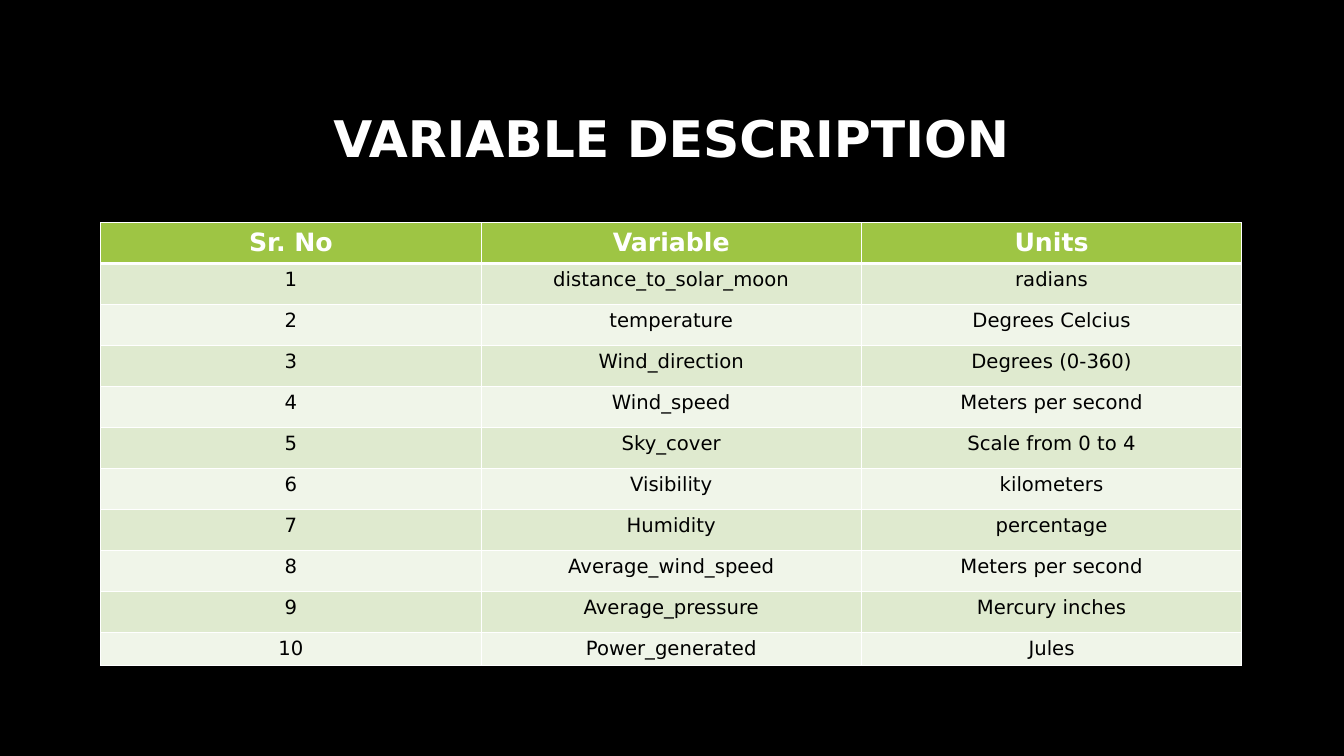
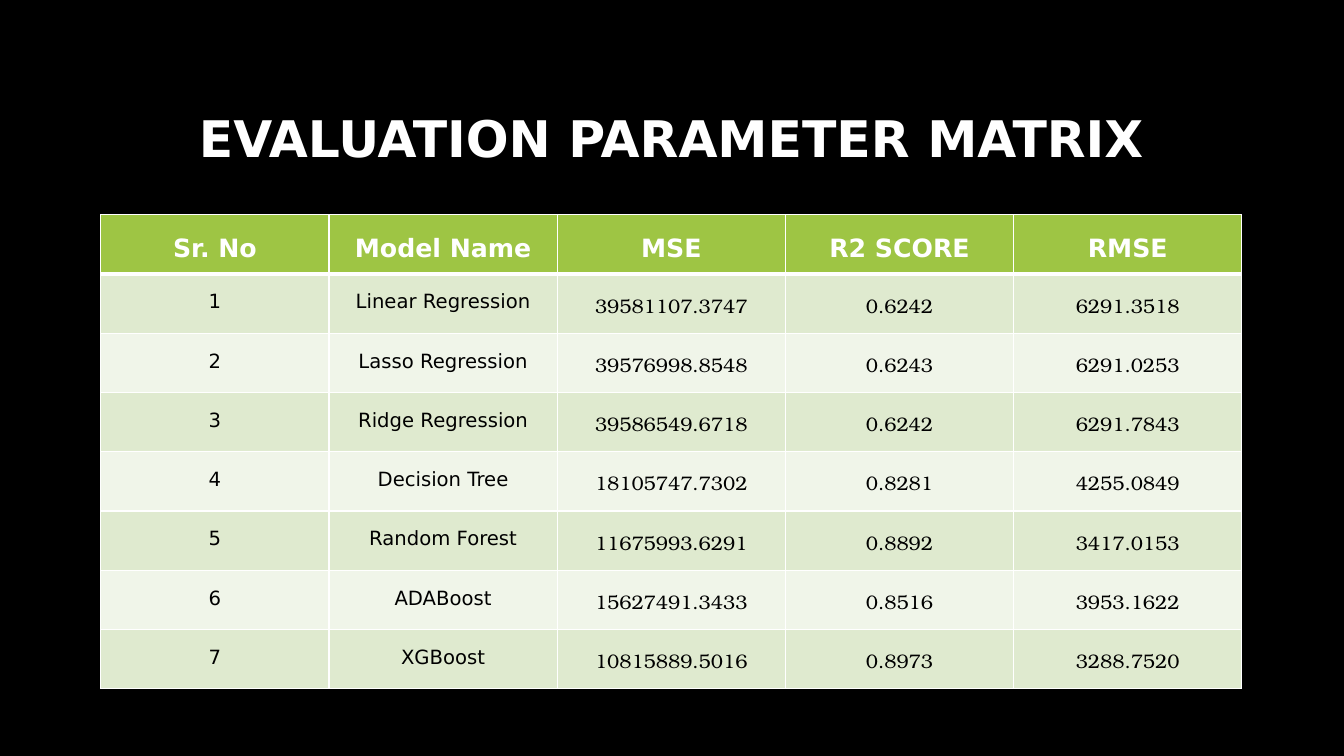
"""Build two black slides, each with a centred title and a banded green table."""
from lxml import etree
from pptx import Presentation, util as u
from pptx.dml.color import RGBColor
from pptx.enum import text
from pptx.oxml import ns

PAGE_WIDTH, PAGE_HEIGHT = u.Inches(13.33), u.Inches(7.5)
LEFT, WIDTH = 7.5, 84.9
TITLE_TOP, TITLE_HEIGHT = 8.95, 19.35

BLACK = RGBColor(0x00, 0x00, 0x00)
WHITE = RGBColor(0xFF, 0xFF, 0xFF)
GREEN = RGBColor(0x9E, 0xC5, 0x44)
BANDS = RGBColor(0xDF, 0xEA, 0xCF), RGBColor(0xF0, 0xF5, 0xE9)
SANS, SERIF = "DejaVu Sans", "TeX Gyre Bonum"

VARIABLES = [
    ("Sr. No", "Variable", "Units"),
    ("1", "distance_to_solar_moon", "radians"),
    ("2", "temperature", "Degrees Celcius"),
    ("3", "Wind_direction", "Degrees (0-360)"),
    ("4", "Wind_speed", "Meters per second"),
    ("5", "Sky_cover", "Scale from 0 to 4"),
    ("6", "Visibility", "kilometers"),
    ("7", "Humidity", "percentage"),
    ("8", "Average_wind_speed", "Meters per second"),
    ("9", "Average_pressure", "Mercury inches"),
    ("10", "Power_generated", "Jules"),
]
SCORES = [
    ("Sr. No", "Model Name", "MSE", "R2 SCORE", "RMSE"),
    ("1", "Linear Regression", "39581107.3747", "0.6242", "6291.3518"),
    ("2", "Lasso Regression", "39576998.8548", "0.6243", "6291.0253"),
    ("3", "Ridge Regression", "39586549.6718", "0.6242", "6291.7843"),
    ("4", "Decision Tree", "18105747.7302", "0.8281", "4255.0849"),
    ("5", "Random Forest", "11675993.6291", "0.8892", "3417.0153"),
    ("6", "ADABoost", "15627491.3433", "0.8516", "3953.1622"),
    ("7", "XGBoost", "10815889.5016", "0.8973", "3288.7520"),
]


def across(percent):
    """Return a share of the slide's width."""
    return u.Emu(round(PAGE_WIDTH * percent / 100))


def down(percent):
    """Return a share of the slide's height."""
    return u.Emu(round(PAGE_HEIGHT * percent / 100))


def write(frame, words, *, size, color, bold=False, font=SANS, spacing=1.0):
    """Write one centred paragraph in a text frame."""
    para = frame.paragraphs[0]
    para.alignment = text.PP_ALIGN.CENTER
    para.line_spacing = spacing
    span = para.add_run()
    span.text = words
    span.font.name, span.font.size, span.font.bold = font, u.Pt(size), bold
    span.font.color.rgb = color


def add_title(page, words):
    """Add the slide title."""
    box = page.shapes.add_textbox(across(LEFT), down(TITLE_TOP), across(WIDTH), down(TITLE_HEIGHT))
    box.text_frame.word_wrap = True
    box.text_frame.vertical_anchor = text.MSO_ANCHOR.MIDDLE
    write(box.text_frame, words, size=36, color=WHITE, bold=True, spacing=0.9)


def set_borders(cell, **widths):
    """Draw white cell borders with widths in points, in schema order."""
    properties = cell._tc.get_or_add_tcPr()
    for side in "LRTB":
        line = etree.SubElement(properties, ns.qn(f"a:ln{side}"), w=str(u.Pt(widths.get(side, 1))))
        fill = etree.SubElement(line, ns.qn("a:solidFill"))
        etree.SubElement(fill, ns.qn("a:srgbClr"), val=str(WHITE))


def add_table(page, rows, *, top, row_height, last_height, spacing=1.0):
    """Add a table with a green header and alternating bands."""
    heights = [row_height] * (len(rows) - 1) + [last_height]
    table = page.shapes.add_table(len(rows), len(rows[0]), across(LEFT), down(top),
                                  across(WIDTH), down(sum(heights))).table
    for column in table.columns:
        column.width = across(WIDTH / len(rows[0]))
    for r, (values, height) in enumerate(zip(rows, heights)):
        table.rows[r].height = down(height)
        for c, words in enumerate(values):
            cell = table.cell(r, c)
            set_borders(cell, T=3 if r == 1 else 1, B=3 if r == 0 else 1)
            cell.fill.solid()
            if r == 0:
                cell.fill.fore_color.rgb = GREEN
                style = dict(size=18, color=WHITE, bold=True)
            else:
                cell.fill.fore_color.rgb = BANDS[(r - 1) % 2]
                style = dict(size=14, color=BLACK, font=SERIF if "." in words else SANS)
            write(cell.text_frame, words, spacing=spacing, **style)


def add_page(deck, title, rows, **layout):
    """Add a slide with a title and a table."""
    page = deck.slides.add_slide(deck.slide_layouts[6])
    add_title(page, title)
    add_table(page, rows, **layout)


def main():
    """Build and save the deck."""
    deck = Presentation()
    deck.slide_width, deck.slide_height = PAGE_WIDTH, PAGE_HEIGHT
    backdrop = deck.slide_master.background.fill
    backdrop.solid()
    backdrop.fore_color.rgb = BLACK
    add_page(deck, "VARIABLE DESCRIPTION", VARIABLES,
             top=29.45, row_height=5.42, last_height=4.4)
    add_page(deck, "EVALUATION PARAMETER MATRIX", SCORES,
             top=28.4, row_height=7.84, last_height=7.8, spacing=1.5)
    deck.save("out.pptx")


if __name__ == "__main__":
    main()
